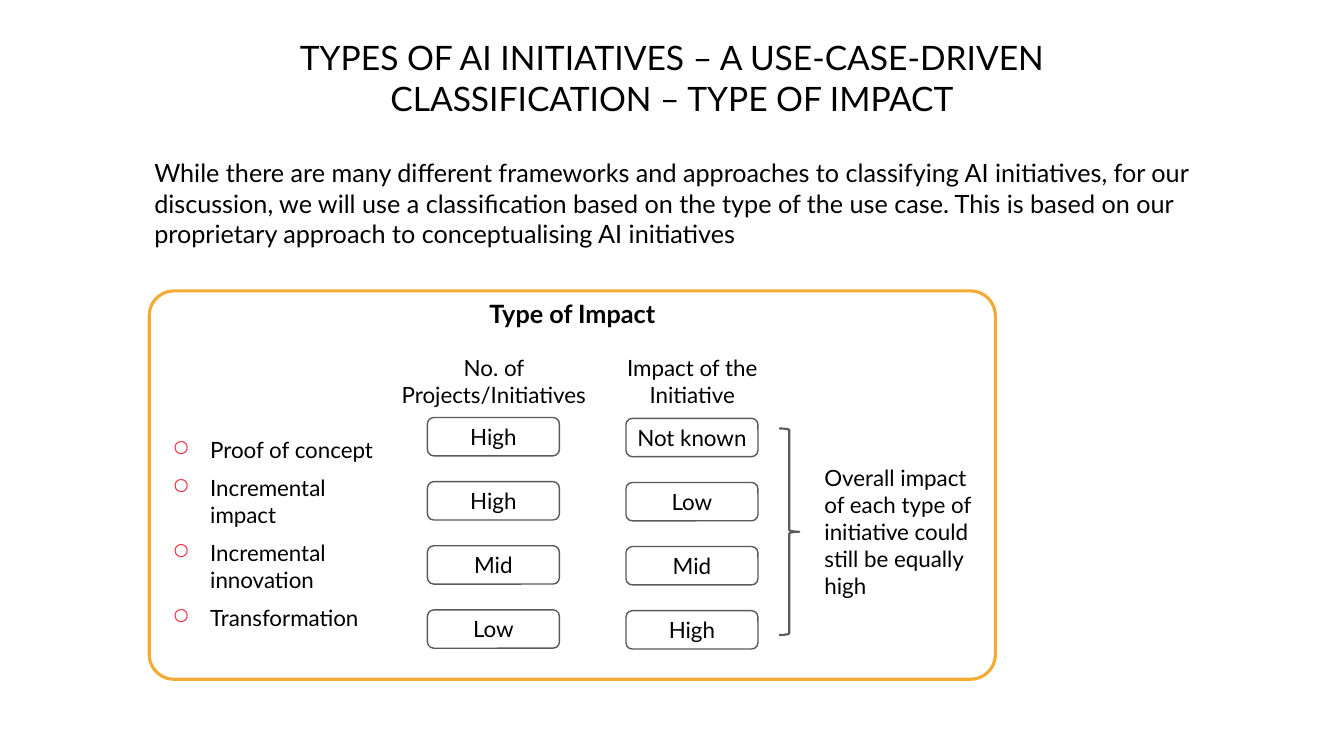
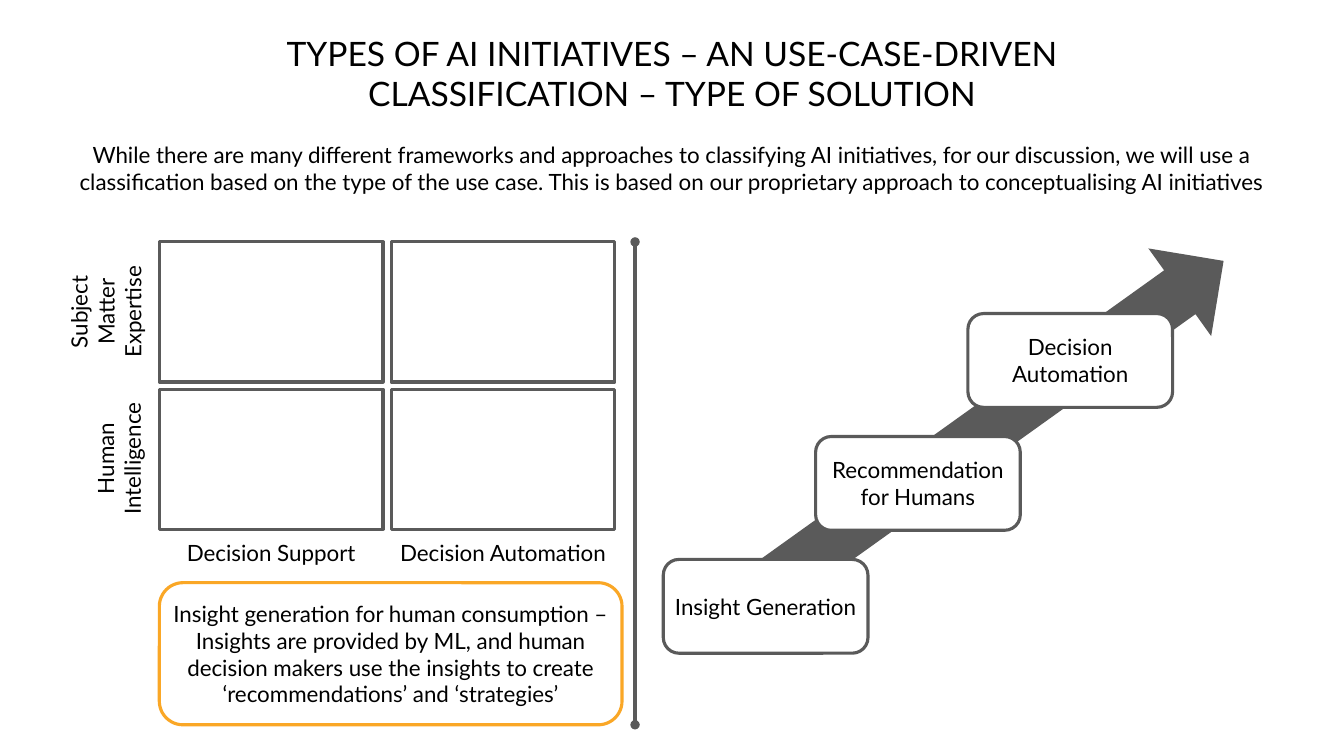
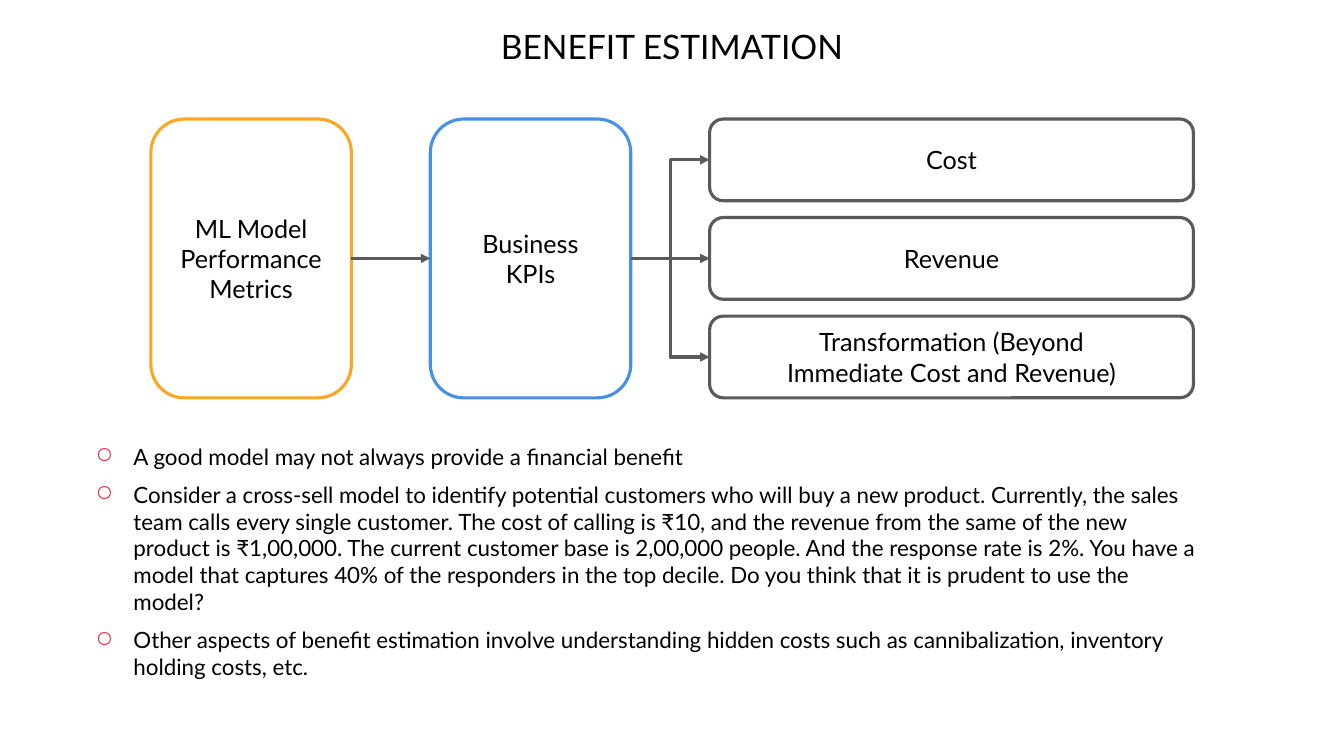
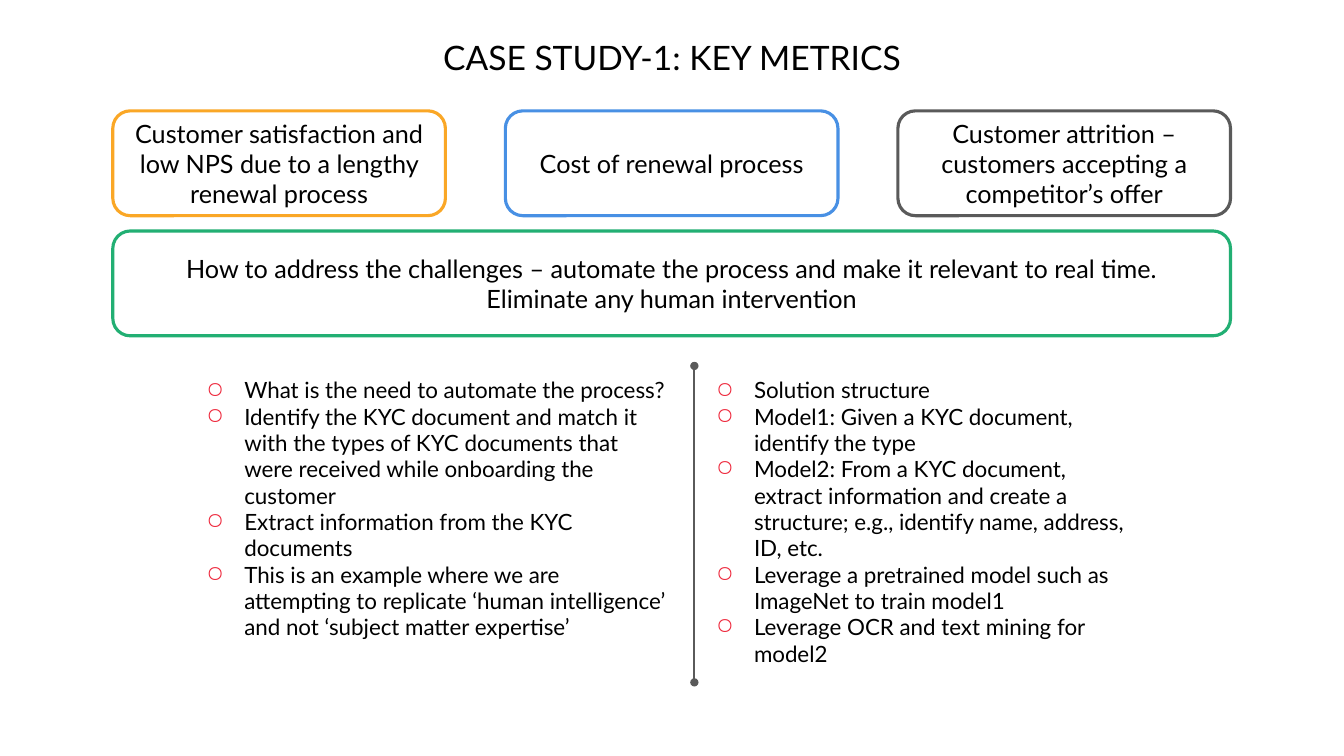
"""Build four slides on types of AI initiatives, benefit estimation and a case study."""
from lxml import etree
from pptx import Presentation
from pptx.dml.color import RGBColor
from pptx.enum.shapes import MSO_CONNECTOR, MSO_SHAPE
from pptx.enum.text import MSO_ANCHOR, PP_ALIGN
from pptx.oxml.ns import qn
from pptx.util import Pt

BLACK = RGBColor(0x00, 0x00, 0x00)
WHITE = RGBColor(0xFF, 0xFF, 0xFF)
GREY = RGBColor(0x5A, 0x5A, 0x5A)
AMBER = RGBColor(0xF4, 0xAB, 0x35)
ORANGE = RGBColor(0xFA, 0xA7, 0x26)
BLUE = RGBColor(0x48, 0x90, 0xE4)
GREEN = RGBColor(0x22, 0xAF, 0x73)
RED = RGBColor(0xEE, 0x28, 0x3C)

ROUND, RECT = MSO_SHAPE.ROUNDED_RECTANGLE, MSO_SHAPE.RECTANGLE
BRACE, ARROW = MSO_SHAPE.RIGHT_BRACE, MSO_SHAPE.NOTCHED_RIGHT_ARROW
STRAIGHT, ELBOW = MSO_CONNECTOR.STRAIGHT, MSO_CONNECTOR.ELBOW
TOP, MIDDLE, BOTTOM = MSO_ANCHOR.TOP, MSO_ANCHOR.MIDDLE, MSO_ANCHOR.BOTTOM
LEFT, CENTER = PP_ALIGN.LEFT, PP_ALIGN.CENTER

FONT = "Lato"
WIDE, HIGH = 960, 540
HANG = 27
LINE = 2.25

INTRO = (
    "While there are many different frameworks and approaches to classifying AI "
    "initiatives, for our discussion, we will use a classification based on the type "
    "of the use case. This is based on our proprietary approach to conceptualising "
    "AI initiatives"
)
KINDS = ["Proof of concept", "Incremental impact", "Incremental innovation", "Transformation"]
RATINGS = [
    ("No. of Projects/Initiatives", ["High", "High", "Mid", "Low"]),
    ("Impact of the Initiative", ["Not known", "Low", "Mid", "High"]),
]
OVERALL = "Overall impact of each type of initiative could still be equally high"

SKILLS = [("Subject Matter Expertise", 25.2, 190.8, 64), ("Human Intelligence", 33.8, 304.6, 46)]
MODES = ["Decision Support", "Decision Automation"]
INSIGHT = (
    "Insight generation for human consumption – Insights are provided by ML, and human "
    "decision makers use the insights to create ‘recommendations’ and ‘strategies’"
)
STEPS = ["Insight Generation", "Recommendation for Humans", "Decision Automation"]

SOURCES = [(["ML Model Performance Metrics"], ORANGE), (["Business", "KPIs"], BLUE)]
GAINS = ["Cost", "Revenue", "Transformation (Beyond\nImmediate Cost and Revenue)"]
NOTES = [
    "A good model may not always provide a financial benefit",
    "Consider a cross-sell model to identify potential customers who will buy a new "
    "product. Currently, the sales team calls every single customer. The cost of calling "
    "is ₹10, and the revenue from the same of the new product is ₹1,00,000. The current "
    "customer base is 2,00,000 people. And the response rate is 2%. You have a model that "
    "captures 40% of the responders in the top decile. Do you think that it is prudent to "
    "use the model?",
    "Other aspects of benefit estimation involve understanding hidden costs such as "
    "cannibalization, inventory holding costs, etc.",
]

METRICS = [
    ("Customer satisfaction and low NPS due to a lengthy renewal process", ORANGE),
    ("Cost of renewal process", BLUE),
    ("Customer attrition – customers accepting a competitor’s offer", GREY),
]
ANSWER = (
    "How to address the challenges – automate the process and make it relevant to real "
    "time.\nEliminate any human intervention"
)
NEEDS = [
    "What is the need to automate the process?",
    "Identify the KYC document and match it with the types of KYC documents that were "
    "received while onboarding the customer",
    "Extract information from the KYC documents",
    "This is an example where we are attempting to replicate ‘human intelligence’ and not "
    "‘subject matter expertise’",
]
MODELS = [
    "Solution structure",
    "Model1: Given a KYC document, identify the type",
    "Model2: From a KYC document, extract information and create a structure; e.g., "
    "identify name, address, ID, etc.",
    "Leverage a pretrained model such as ImageNet to train model1",
    "Leverage OCR and text mining for model2",
]


def write(shape, lines, size=16, align=CENTER, anchor=MIDDLE, pad=(3, 3),
          bold=False, bullet=False, gap=0, space=None):
    """Fill a shape with styled paragraphs."""
    frame = shape.text_frame
    frame.word_wrap = True
    frame.vertical_anchor = anchor
    frame.margin_left = frame.margin_right = Pt(pad[0])
    frame.margin_top = frame.margin_bottom = Pt(pad[1])
    for i, line in enumerate(lines):
        para = frame.add_paragraph() if i else frame.paragraphs[0]
        if bullet:
            props = para._p.get_or_add_pPr()
            props.set("marL", str(Pt(HANG)))
            props.set("indent", str(-Pt(HANG)))
            tint = etree.SubElement(props, qn("a:buClr"))
            etree.SubElement(tint, qn("a:srgbClr"), val=str(RED))
            etree.SubElement(props, qn("a:buChar"), char="○")
        para.alignment = align
        para.space_before = Pt(gap if i else 0)
        para.space_after = Pt(gap)
        if space:
            para.line_spacing = space
        for j, part in enumerate(line.split("\n")):
            if j:
                para.add_line_break()
            run = para.add_run()
            run.text = part
            run.font.name, run.font.size = FONT, Pt(size)
            run.font.bold, run.font.color.rgb = bold, BLACK
    return shape


def label(slide, box, lines, **style):
    """Add a text box."""
    return write(slide.shapes.add_textbox(*map(Pt, box)), lines, **style)


def draw(slide, kind, box, line=GREY, width=LINE, fill=None):
    """Add a flat preset shape."""
    shape = slide.shapes.add_shape(kind, *map(Pt, box))
    shape.shadow.inherit = False
    if fill is None:
        shape.fill.background()
    else:
        shape.fill.solid()
        shape.fill.fore_color.rgb = fill
    if line is None:
        shape.line.fill.background()
    else:
        shape.line.color.rgb = line
        shape.line.width = Pt(width)
    return shape


def link(slide, kind, ends, width=LINE, head=None, tail=None):
    """Add a grey connector with line ends."""
    wire = slide.shapes.add_connector(kind, *map(Pt, ends))
    wire.line.color.rgb = GREY
    wire.line.width = Pt(width)
    stroke = wire.line._get_or_add_ln()
    for tag, mark in (("a:headEnd", head), ("a:tailEnd", tail)):
        if mark:
            etree.SubElement(stroke, qn(tag), type=mark)
    etree.SubElement(wire._element.spPr, qn("a:effectLst"))
    return wire


def join(slide, start, end, kind=STRAIGHT):
    """Draw an arrow from the right side of one box to the left side of another."""
    wire = link(slide, kind, (0, 0, 10, 10), tail="triangle")
    wire.begin_connect(start, 3)
    wire.end_connect(end, 1)


def begin(deck, title, top, width):
    """Add a blank slide with its centred title."""
    slide = deck.slides.add_slide(deck.slide_layouts[6])
    label(slide, ((WIDE - width) / 2, top, width, 36), [title],
          size=24, anchor=TOP, pad=(3.6, 3.6))
    return slide


def impact(deck):
    """Build the type of impact slide."""
    slide = begin(deck, "TYPES OF AI INITIATIVES – A USE-CASE-DRIVEN "
                  "CLASSIFICATION – TYPE OF IMPACT", 23, 543)
    label(slide, (106.6, 103.7, 746.6, 82.8), [INTRO], size=18, align=LEFT, pad=(3.6, 3.6))
    panel = draw(slide, ROUND, (106.6, 207.8, 604.4, 277.4), AMBER)
    panel.adjustments[0] = 0.064
    write(panel, ["Type of Impact"], size=18, anchor=TOP, pad=(0, 0), bold=True)
    label(slide, (119.5, 298.8, 157.7, 164.2), KINDS, align=LEFT, pad=(3.6, 3.6),
          bullet=True, gap=4)
    for col, (head, marks) in enumerate(RATINGS):
        left, top = 305.3 + 141.8 * col, 298.2 + 0.6 * col
        label(slide, (left - 19.4, 252.7, 133.6, 38.9), [head], anchor=BOTTOM, pad=(0, 0))
        for row, mark in enumerate(marks):
            cell = draw(slide, ROUND, (left, top + 45.8 * row, 94.3, 27.4), width=1)
            write(cell, [mark])
    draw(slide, BRACE, (556.6, 306, 14.4, 147.6), width=1.5)
    label(slide, (581.8, 328.3, 129.6, 104.4), [OVERALL], align=LEFT, anchor=TOP,
          pad=(7.2, 3.6))


def solution(deck):
    """Build the type of solution slide."""
    slide = begin(deck, "TYPES OF AI INITIATIVES – AN USE-CASE-DRIVEN "
                  "CLASSIFICATION – TYPE OF SOLUTION", 20, 718)
    label(slide, (30.2, 97.9, 899.3, 44.6), [INTRO], anchor=TOP)
    write(draw(slide, ROUND, (113.8, 416.2, 330.5, 101.5), ORANGE), [INSIGHT])
    for col, mode in enumerate(MODES):
        left = 113.8 + 165.6 * col
        for row in range(len(SKILLS)):
            draw(slide, RECT, (left, 172.8 + 105.1 * row, 159.8, 100.1))
        label(slide, (left, 382.3, 159.8, 25.2), [mode])
    for skill, left, top, high in SKILLS:
        label(slide, (left, top, 100.1, high), [skill], anchor=BOTTOM).rotation = 270
    link(slide, STRAIGHT, (453.6, 172.8, 453.6, 517.7), head="oval", tail="oval")
    draw(slide, ARROW, (462.2, 280.1, 454.3, 77), None, fill=GREY).rotation = 324.4
    for i, step in enumerate(STEPS):
        box = (473.8 + 108.8 * i, 399.6 - 87.8 * i, 146.2, 67)
        write(draw(slide, ROUND, box, fill=WHITE), [step])


def benefit(deck):
    """Build the benefit estimation slide."""
    slide = begin(deck, "BENEFIT ESTIMATION", 15.1, 811)
    top, bar, gap = 85, 58.4, 12
    tall = 3 * bar + 2 * gap
    model, goals = [
        write(draw(slide, ROUND, (107.8 + 199.6 * i, top, 143.2, tall), color),
              lines, size=18, pad=(0, 0))
        for i, (lines, color) in enumerate(SOURCES)
    ]
    join(slide, model, goals)
    for i, gain in enumerate(GAINS):
        box = draw(slide, ROUND, (506.9, top + (bar + gap) * i, 345.6, bar))
        write(box, [gain], size=18, pad=(0, 0))
        join(slide, goals, box, STRAIGHT if i == 1 else ELBOW)
    label(slide, (65.5, 306, 793.4, 190), NOTES, align=LEFT, pad=(2.8, 2.8),
          bullet=True, gap=4)


def study(deck):
    """Build the case study slide."""
    slide = begin(deck, "CASE STUDY-1: KEY METRICS", 23, 718)
    left, top, wide, high = 80.6, 79.2, 237.6, 74.9
    style = {"size": 18, "pad": (5.8, 5.8)}
    for i, (metric, color) in enumerate(METRICS):
        box = (left + 280.4 * i, top, wide, high)
        write(draw(slide, ROUND, box, color), [metric], **style)
    write(draw(slide, ROUND, (left, 165, 798.4, high), GREEN), [ANSWER], **style)
    for side, span, items in ((140.4, 346.3, NEEDS), (504.5, 314.6, MODELS)):
        label(slide, (side, 266.4, span, 216), items, align=LEFT, anchor=TOP,
              pad=(7.2, 3.6), bullet=True, space=0.98)
    link(slide, STRAIGHT, (496, 261.4, 496, 487.4), width=1.5, head="oval", tail="oval")


def main():
    """Build and save the deck."""
    deck = Presentation()
    deck.slide_width, deck.slide_height = Pt(WIDE), Pt(HIGH)
    for build in (impact, solution, benefit, study):
        build(deck)
    deck.save("out.pptx")


if __name__ == "__main__":
    main()
